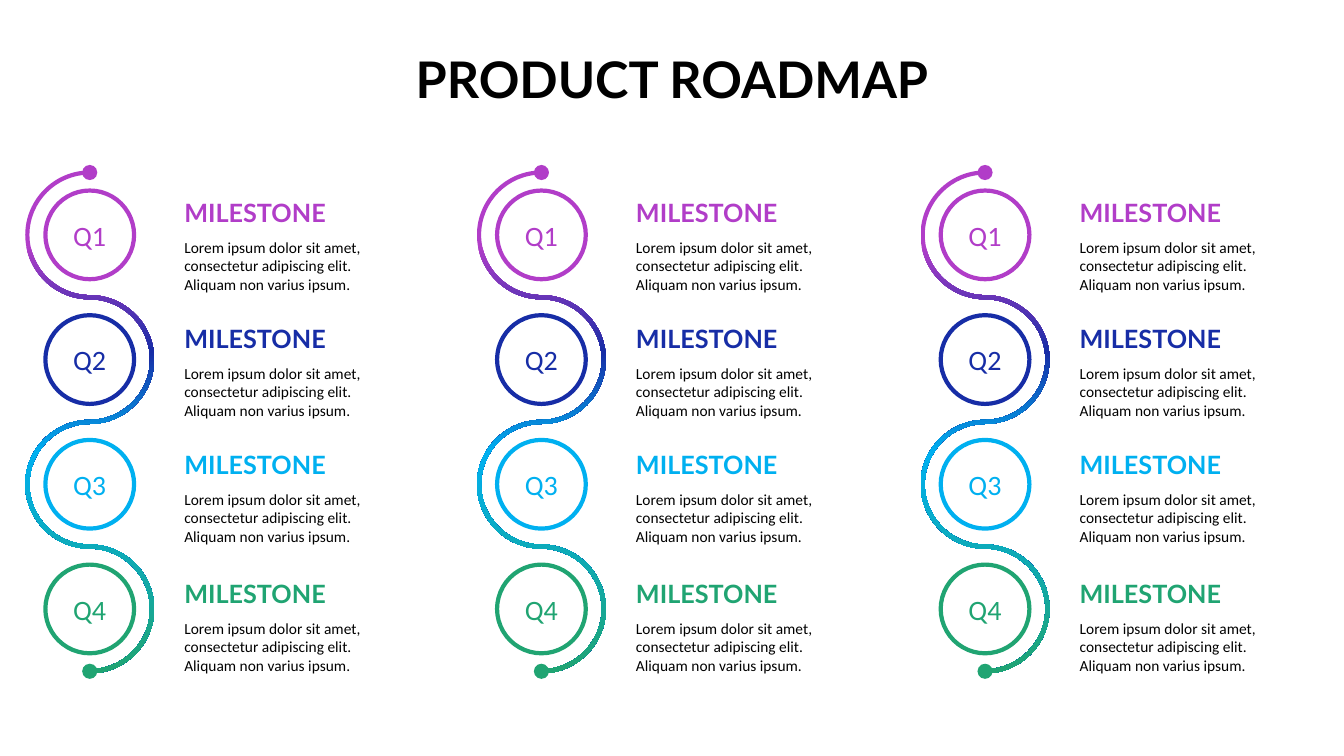
from pptx import Presentation
from pptx.dml.color import RGBColor
from pptx.enum.shapes import MSO_SHAPE as SHAPE
from pptx.enum.text import MSO_ANCHOR as ANCHOR, PP_ALIGN as ALIGN
from pptx.oxml import parse_xml
from pptx.oxml.ns import nsdecls, qn
from pptx.util import Inches, Pt

TITLE = "PRODUCT ROADMAP"
HEADING = "MILESTONE"
BODY = ("Lorem ipsum dolor sit amet, consectetur adipiscing elit. "
        "Aliquam non varius ipsum.")
QUARTERS = [
    ("Q1", "B13DC8", 1.94),
    ("Q2", "172DA6", 3.19),
    ("Q3", "00B0F0", 4.44),
    ("Q4", "20A472", 5.72),
]
STOPS = (15, 36, 56, 100)
COLUMNS = (0.89, 5.37, 9.77)
FIRST_Y, PITCH = 2.33, 1.237
CIRCLE, DOT, BAND = 0.88, 0.15, 0.042
TEXT_DX, TEXT_W, BODY_DY = 0.84, 2.36, 0.37
K = 0.55
HALF_TURN = [(K, -1), (1, -K), (1, 0), (1, K), (K, 1), (0, 1)]

prs = Presentation()
prs.slide_width, prs.slide_height = Inches(13.33), Inches(7.5)
slide = prs.slides.add_slide(prs.slide_layouts[6])


def rgb(value):
    return RGBColor.from_string(value)


def write(tf, text, color, para=None, **font):
    p = tf.paragraphs[0]
    for key, value in (para or {}).items():
        setattr(p, key, value)
    r = p.add_run()
    r.text = text
    r.font.color.rgb = rgb(color)
    for key, value in font.items():
        setattr(r.font, key, value)


def add_text(x, y, w, h, text, color, para=None, **font):
    tf = slide.shapes.add_textbox(*map(Inches, (x, y, w, h))).text_frame
    tf.word_wrap = True
    write(tf, text, color, para, **font)


def add_circle(cx, cy, size, fill, line=None):
    s = slide.shapes.add_shape(
        SHAPE.OVAL, *map(Inches, (cx - size / 2, cy - size / 2, size, size)))
    s.shadow.inherit = False
    s.fill.solid()
    s.fill.fore_color.rgb = rgb(fill)
    if line:
        s.line.color.rgb = rgb(line)
        s.line.width = Pt(3)
    else:
        s.line.fill.background()
    return s


def winding_edge(cx, offset):
    points = [(Inches(cx), Inches(FIRST_Y - PITCH / 2 - offset))]
    for i in range(len(QUARTERS)):
        side = -1 if i % 2 == 0 else 1
        radius = PITCH / 2 - side * offset
        cy = FIRST_Y + i * PITCH
        points += [(Inches(cx + side * radius * dx), Inches(cy + radius * dy))
                   for dx, dy in HALF_TURN]
    return points


def curve(lines):
    for i in range(0, len(lines), 3):
        bezier = parse_xml(f'<a:cubicBezTo {nsdecls("a")}/>')
        lines[i].addprevious(bezier)
        for line in lines[i:i + 3]:
            bezier.append(line[0])
            line.getparent().remove(line)


def add_winding_path(cx):
    there, back = winding_edge(cx, BAND / 2), winding_edge(cx, -BAND / 2)[::-1]
    builder = slide.shapes.build_freeform(*there[0], scale=1.0)
    builder.add_line_segments(there[1:] + back, close=True)
    s = builder.convert_to_shape()
    s.shadow.inherit = False
    s.line.fill.background()
    lines = list(s.element.iter(qn("a:lnTo")))
    n = len(there)
    curve(lines[:n - 1])
    curve(lines[n:2 * n - 1])
    stops = "".join(
        f'<a:gs pos="{pos * 1000}"><a:srgbClr val="{color}"/></a:gs>'
        for pos, (_, color, _) in zip(STOPS, QUARTERS))
    s.element.spPr.find(qn("a:ln")).addprevious(parse_xml(
        f'<a:gradFill {nsdecls("a")}><a:gsLst>{stops}</a:gsLst>'
        '<a:lin ang="5400000" scaled="0"/></a:gradFill>'))


add_text(0.25, 0.5, 12.83, 0.69, TITLE, "000000",
         {"alignment": ALIGN.CENTER, "line_spacing": 0.9},
         name="Lato", size=Pt(36), bold=True)

for cx in COLUMNS:
    for i, (label, color, top) in enumerate(QUARTERS):
        s = add_circle(cx, FIRST_Y + i * PITCH, CIRCLE, "FFFFFF", color)
        s.text_frame.vertical_anchor = ANCHOR.MIDDLE
        write(s.text_frame, label, color, {"alignment": ALIGN.CENTER},
              name="Calibri", size=Pt(20))
        add_text(cx + TEXT_DX, top, TEXT_W, 0.33, HEADING, color,
                 {"line_spacing": 0.9}, name="Lato", size=Pt(18), bold=True)
        add_text(cx + TEXT_DX, top + BODY_DY, TEXT_W, 0.77, BODY, "000000",
                 name="Calibri", size=Pt(11))
    add_winding_path(cx)
    add_circle(cx, FIRST_Y - PITCH / 2, DOT, QUARTERS[0][1])
    add_circle(cx, FIRST_Y + (len(QUARTERS) - 0.5) * PITCH, DOT, QUARTERS[-1][1])

prs.save("out.pptx")
